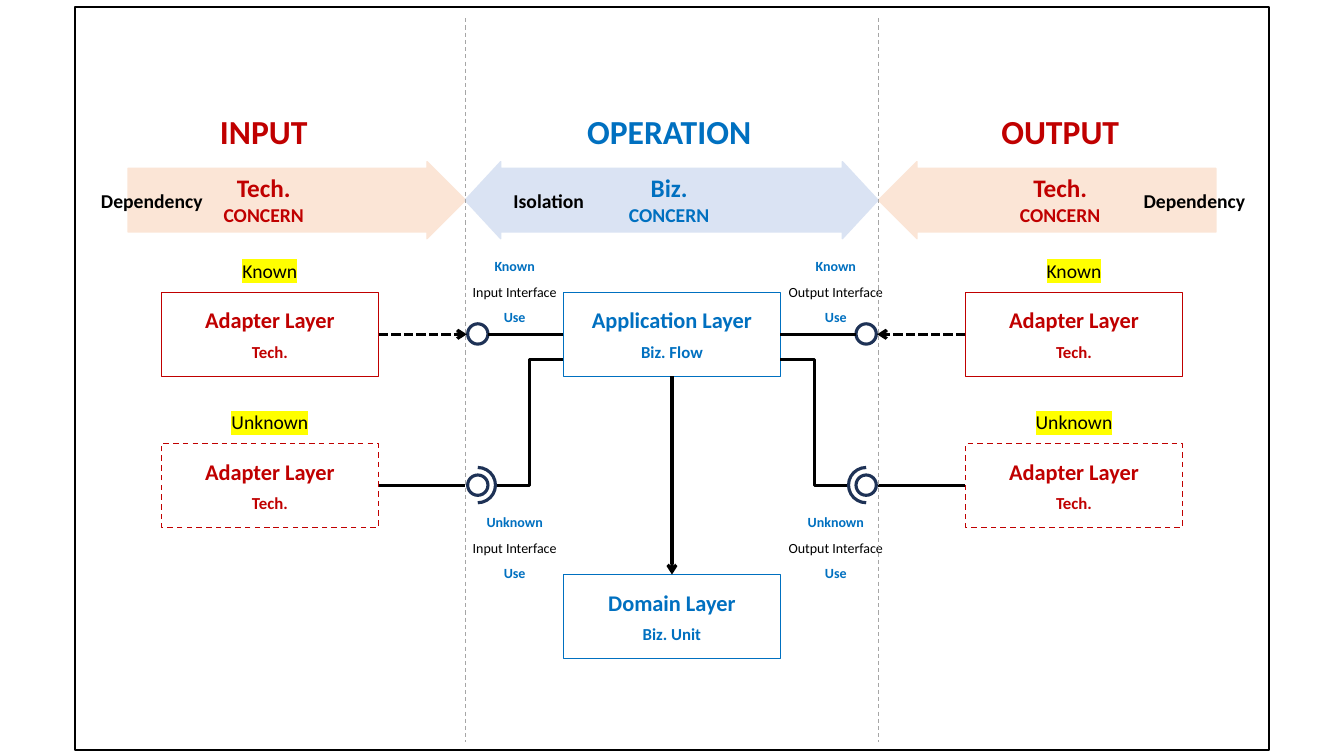
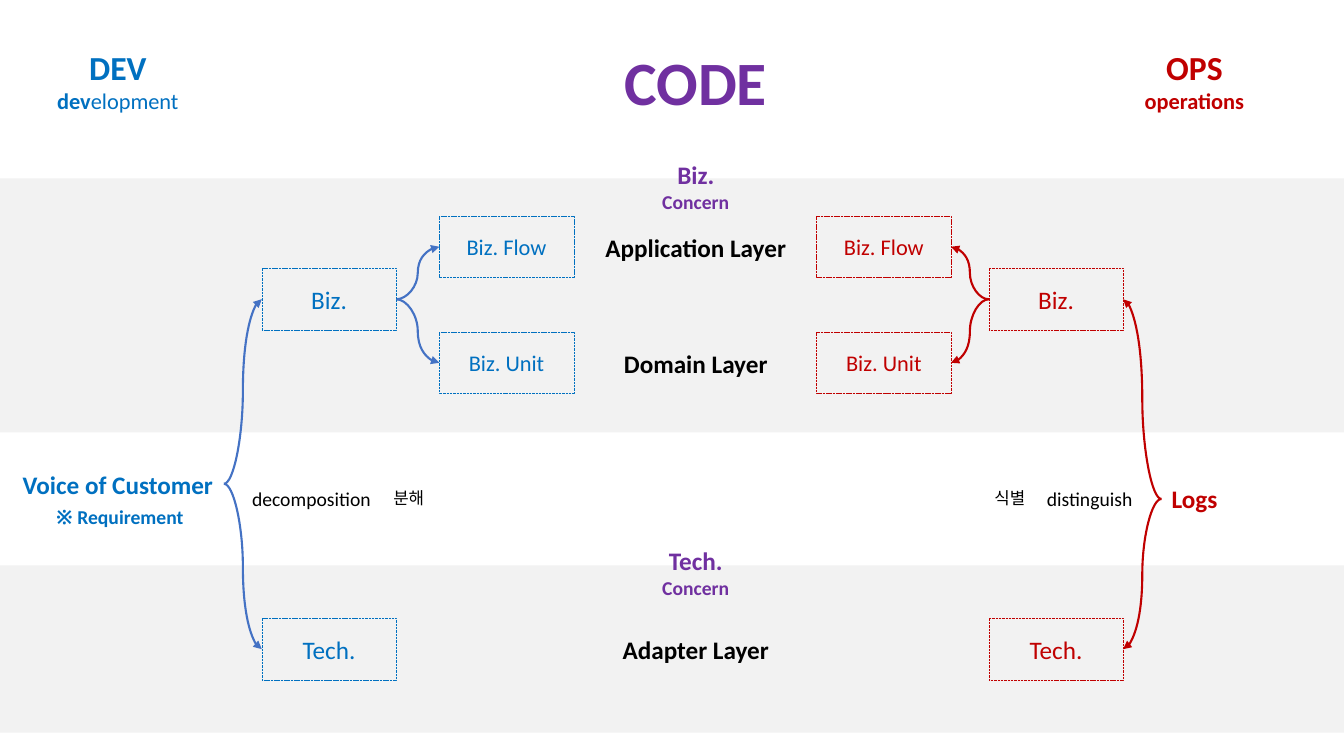
import pptx
import pptx.dml.color
import pptx.enum.dml
import pptx.enum.shapes
import pptx.enum.text
import pptx.oxml
import pptx.oxml.ns
import pptx.util
from lxml import etree

Pt = pptx.util.Pt
SHAPE = pptx.enum.shapes.MSO_SHAPE
LINK = pptx.enum.shapes.MSO_CONNECTOR
DASH = pptx.enum.dml.MSO_LINE.DASH
SYS_DASH = pptx.enum.dml.MSO_LINE.SQUARE_DOT

WIDTH, HEIGHT = 960, 540
FONT = "Calibri"
BLACK, WHITE, BLUE, RED = "000000", "FFFFFF", "0070C0", "C00000"
PURPLE, NAVY, GREY, BAND = "7030A0", "1E3256", "A6A6A6", "F2F2F2"
PEACH, PALE_BLUE, CURVE_BLUE, YELLOW = "FBE5D6", "DAE3F3", "4472C4", "FFFF00"


def rgb(value):
    return pptx.dml.color.RGBColor.from_string(value)


def run(text, size, color=BLACK, bold=True, mark=None):
    return text, {"size": Pt(size), "bold": bold, "name": FONT}, color, mark


def sub_element(parent, tag, **attrs):
    return etree.SubElement(parent, pptx.oxml.ns.qn(tag), attrs)


class Deck:
    """Holds the presentation, its style and the current slide."""

    def __init__(self):
        self.prs = pptx.Presentation()
        self.prs.slide_width, self.prs.slide_height = Pt(WIDTH), Pt(HEIGHT)
        self.s = None

    def new_slide(self):
        self.s = self.prs.slides.add_slide(self.prs.slide_layouts[5])

    def set_text(self, sp, paras, spacing=None, gap=0):
        """Fill a shape with paragraphs, each a list of runs."""
        tf = sp.text_frame
        frame = {
            "word_wrap": False,
            "auto_size": pptx.enum.text.MSO_AUTO_SIZE.NONE,
            "vertical_anchor": pptx.enum.text.MSO_ANCHOR.MIDDLE,
            "margin_left": 0, "margin_right": 0,
            "margin_top": 0, "margin_bottom": 0,
        }
        for key, value in frame.items():
            setattr(tf, key, value)
        for i, runs in enumerate(paras):
            p = tf.add_paragraph() if i else tf.paragraphs[0]
            p.alignment = pptx.enum.text.PP_ALIGN.CENTER
            if spacing:
                p.line_spacing = spacing
            if i and gap:
                p.space_before = Pt(gap)
            for text, font, color, mark in runs:
                r = p.add_run()
                r.text = text
                for key, value in font.items():
                    setattr(r.font, key, value)
                r.font.color.rgb = rgb(color)
                if mark:
                    fill = r.font._element.find(pptx.oxml.ns.qn("a:solidFill"))
                    light = pptx.oxml.parse_xml(
                        "<a:highlight %s/>" % pptx.oxml.ns.nsdecls("a"))
                    sub_element(light, "a:srgbClr", val=mark)
                    fill.addnext(light)

    def title(self, cx, top, w, h, text, size, color):
        sp = self.s.shapes.title
        place = {"left": cx - w / 2, "top": top, "width": w, "height": h}
        for key, value in place.items():
            setattr(sp, key, Pt(value))
        self.set_text(sp, [[run(text, size, color)]])

    def text(self, cx, top, w, h, *paras, spacing=None):
        sp = self.s.shapes.add_textbox(Pt(cx - w / 2), Pt(top), Pt(w), Pt(h))
        self.set_text(sp, paras, spacing)

    def shape(self, kind, cx, top, w, h, fill=None, line=None, weight=1,
              dash=None, adj=()):
        sp = self.s.shapes.add_shape(
            kind, Pt(cx - w / 2), Pt(top), Pt(w), Pt(h))
        sp.shadow.inherit = False
        for i, value in enumerate(adj):
            sp.adjustments[i] = value
        if fill:
            sp.fill.solid()
            sp.fill.fore_color.rgb = rgb(fill)
        else:
            sp.fill.background()
        if line:
            self.stroke(sp.line, line, weight, dash)
        else:
            sp.line.fill.background()
        return sp

    def stroke(self, line, color, weight, dash):
        line.color.rgb = rgb(color)
        line.width = Pt(weight)
        if dash:
            line.dash_style = dash

    def link(self, x1, y1, x2, y2, color=BLACK, weight=2.25, dash=None,
             arrow=None, kind=LINK.STRAIGHT):
        c = self.s.shapes.add_connector(kind, Pt(x1), Pt(y1), Pt(x2), Pt(y2))
        self.stroke(c.line, color, weight, dash)
        props = c._element.spPr
        if arrow:
            sub_element(props.find(pptx.oxml.ns.qn("a:ln")), "a:tailEnd",
                        type=arrow)
        sub_element(props, "a:effectLst")

    def layer(self, cx, top, name, role, color, fill=None, dash=None):
        """Box with a layer name and its role."""
        sp = self.shape(SHAPE.RECTANGLE, cx, top, 155, 60, fill, color, 1, dash)
        self.set_text(sp, [[run(name, 16, color)], [run(role, 12, color)]],
                      gap=6)

    def concern(self, cx, top, name, label, color):
        self.text(cx, top, 73, 46, [run(name, 18, color)],
                  [run(label, 14, color)])


def layers_slide(d):
    d.new_slide()

    # Concern arrows and column headings
    wide = [0.827, 0.5]
    for kind, cx, w, color, adj in (
            (SHAPE.LEFT_ARROW, 748, 241, PEACH, wide),
            (SHAPE.RIGHT_ARROW, 212, 241, PEACH, wide),
            (SHAPE.LEFT_RIGHT_ARROW, 479.7, 295, PALE_BLUE, [0.824, 0.463])):
        d.shape(kind, cx, 115.5, w, 55, color, color, adj=adj)
    for cx, w, name in ((392, 66, "Isolation"), (853.2, 88, "Dependency"),
                        (108.5, 88, "Dependency")):
        d.text(cx, 131, w, 24.5, [run(name, 14)])
    d.title(478, 75.6, 132, 36, "OPERATION", 24, BLUE)
    for cx, w, name in ((188.4, 78, "INPUT"), (757.3, 99, "OUTPUT")):
        d.text(cx, 75.6, w, 36, [run(name, 24, RED)])
        d.concern(cx, 119.5, "Tech.", "CONCERN", RED)
    d.concern(478, 119.5, "Biz.", "CONCERN", BLUE)

    # Frame and central layers
    d.shape(SHAPE.RECTANGLE, 480, 5, 853, 530.5, line=BLACK, weight=1.5)
    d.layer(480, 208.8, "Application Layer", "Biz. Flow", BLUE, WHITE)
    d.layer(480, 410.4, "Domain Layer", "Biz. Unit", BLUE, WHITE)
    d.link(480, 268.8, 480, 410.4, arrow="arrow")

    # Adapters, sockets and interfaces on both sides
    known_y, unknown_y = 208.8, 316.8
    socket = 341.3
    sides = (("Input Interface", 367.6, 76, lambda x: x, [162, 54]),
             ("Output Interface", 597, 84, lambda x: WIDTH - x, [54, 162]))
    for interface, label_cx, label_w, side, half in sides:
        for state, top, label_top, dash in (
                ("Known", known_y, 174.2, None),
                ("Unknown", unknown_y, 357, DASH)):
            d.text(side(192.8), top - 28, 70, 24.5,
                   [run(state, 14, bold=False, mark=YELLOW)])
            d.layer(side(192.8), top, "Adapter Layer", "Tech.", RED, dash=dash)
            d.shape(SHAPE.OVAL, side(socket), top + 22.5, 14.5, 14.5,
                    line=NAVY, weight=2.25)
            d.text(label_cx, label_top, label_w, 62,
                   [run(state, 10, BLUE)],
                   [run(interface, 10, bold=False)],
                   [run("Use", 10, BLUE)], spacing=1.5)
        y = known_y + 30
        d.link(side(270.5), y, side(333.5), y, dash=SYS_DASH, arrow="arrow")
        d.link(side(402.5), y, side(348.5), y)
        y = unknown_y + 29.7
        d.link(side(270.5), y, side(332.5), y)
        d.link(side(402.5), 257, side(353.5), y, kind=LINK.ELBOW)
        d.shape(SHAPE.ARC, side(socket), y - 12.6, 25.2, 25.2, line=NAVY,
                weight=2.25, adj=half)
        d.link(side(332.6), 13, side(332.6), 530, GREY, 0.75, DASH)


def code_slide(d):
    d.new_slide()

    # Bands, headings and layer names
    for top, h in ((127.4, 181.4), (403.9, 119.5)):
        d.shape(SHAPE.RECTANGLE, WIDTH / 2, top, WIDTH, h, BAND)
    mid = 497
    d.title(mid, 27.4, 117, 60.5, "CODE", 44, PURPLE)
    d.text(84.2, 29.5, 102, 55.4, [run("DEV", 24, BLUE)],
           [run("dev", 16, BLUE), run("elopment", 16, BLUE, False)])
    d.text(853.2, 29.5, 86, 55.4, [run("OPS", 24, RED)],
           [run("operations", 16, RED)])
    for top, name in ((162, "Application Layer"), (244.8, "Domain Layer"),
                      (449.3, "Adapter Layer")):
        d.text(mid, top, 145, 29, [run(name, 18)])
    for top, name in ((110.2, "Biz."), (385.9, "Tech.")):
        d.concern(mid, top, name, "Concern", PURPLE)

    # Trees: root, concerns, then business parts
    box_w, box_h = 96, 44
    biz_y, tech_y, flow_y, unit_y = 213.8, 463.7, 176.3, 259.2
    trees = ((BLUE, CURVE_BLUE, 160, 345.6, 235, 361.8, 1),
             (RED, RED, 829.6, 356.4, 754.3, 631.3, -1))
    for color, curve, root_x, root_y, outer, inner, way in trees:
        half = way * box_w / 2
        for x1, y1, cx, y2 in ((root_x, root_y, outer, biz_y),
                               (root_x, root_y, outer, tech_y),
                               (outer + half, biz_y, inner, flow_y),
                               (outer + half, biz_y, inner, unit_y)):
            d.link(x1, y1, cx - half, y2, curve, 1.5, arrow="triangle",
                   kind=LINK.CURVE)
        for cx, cy, name, size in ((outer, biz_y, "Biz.", 18),
                                   (outer, tech_y, "Tech.", 18),
                                   (inner, flow_y, "Biz. Flow", 16),
                                   (inner, unit_y, "Biz. Unit", 16)):
            sp = d.shape(SHAPE.RECTANGLE, cx, cy - box_h / 2, box_w, box_h,
                         line=color, weight=0.25, dash=SYS_DASH)
            d.set_text(sp, [[run(name, size, color, False)]])

    # Root names and remarks
    for cx, top, w, h, label in (
            (84.2, 331.2, 151, 29, run("Voice of Customer", 18, BLUE)),
            (85.7, 357, 105, 24.5, run("※ Requirement", 14, BLUE)),
            (222.5, 344.2, 103, 24.5, run("decomposition", 14, bold=False)),
            (292, 345, 39, 21.6, run("분해", 12, bold=False)),
            (853.2, 341.3, 47.5, 29, run("Logs", 18, RED)),
            (778.3, 344.2, 76, 24.5, run("distinguish", 14, bold=False)),
            (721.4, 345, 39, 21.6, run("식별", 12, bold=False))):
        d.text(cx, top, w, h, [label])


def main():
    d = Deck()
    layers_slide(d)
    code_slide(d)
    d.prs.save("out.pptx")


if __name__ == "__main__":
    main()
